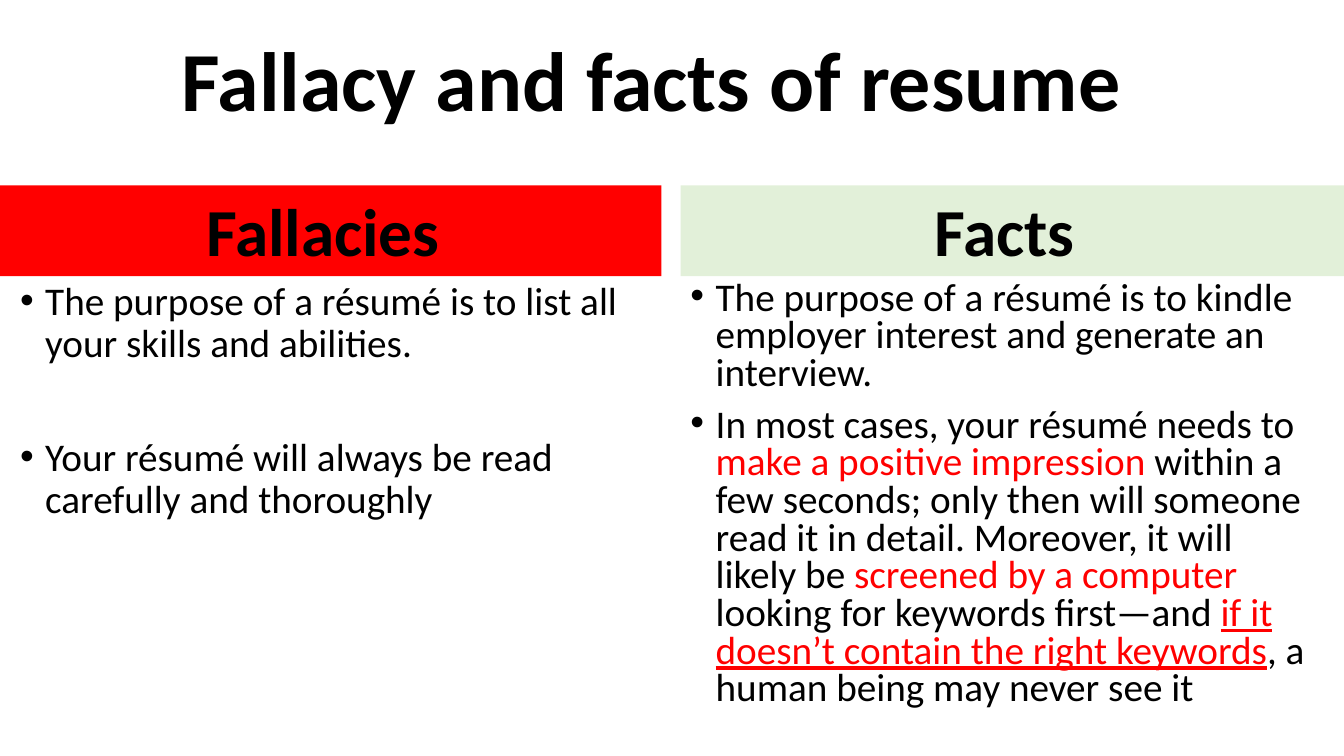
from lxml import etree
from pptx import Presentation
from pptx.dml.color import RGBColor
from pptx.enum import shapes, text
from pptx.oxml.ns import qn
from pptx.util import Inches, Pt

COLOURS = {"black": "000000", "red": "FF0000", "pale green": "E2F0D9"}
FONT = "Calibri"
HEADING_HEIGHT = 0.9
BODY_HEIGHT = 4.65
BULLET_INDENT = 0.25

FALLACIES = [
    [("The purpose of a résumé is to list all your skills and abilities.", "plain")],
    [("Your résumé will always be read carefully and thoroughly", "plain")],
]
FACTS = [
    [("The purpose of a résumé is to kindle employer interest and generate an interview.",
      "plain")],
    [("In most cases, your résumé needs to ", "plain"),
     ("make a positive impression ", "key"),
     ("within a few seconds; only then will someone read it in detail. "
      "Moreover, it will likely be ", "plain"),
     ("screened by a computer ", "key"),
     ("looking for keywords first—and ", "plain"),
     ("if it doesn’t contain the right keywords", "underlined"),
     (", a human being may never see it", "plain")],
]
BODY_STYLES = {
    "plain": ("black", {"size": Pt(28)}),
    "key": ("red", {"size": Pt(28)}),
    "underlined": ("red", {"size": Pt(28), "underline": True}),
}


def colour(name):
    return RGBColor.from_string(COLOURS[name])


def set_all(target, values):
    for name, value in values.items():
        setattr(target, name, value)


def add_run(paragraph, wording, colour_name, values):
    run = paragraph.add_run()
    run.text = wording
    set_all(run.font, {"name": FONT, **values})
    run.font.color.rgb = colour(colour_name)


def add_bullet(paragraph):
    properties = paragraph._p.get_or_add_pPr()
    properties.set("marL", str(Inches(BULLET_INDENT)))
    properties.set("indent", str(-Inches(BULLET_INDENT)))
    etree.SubElement(properties, qn("a:buFont")).set("typeface", "Arial")
    etree.SubElement(properties, qn("a:buChar")).set("char", "•")


def add_heading(shape, wording, size, anchor):
    """Put one centred bold line in a shape."""
    set_all(shape.text_frame, {"word_wrap": True, "vertical_anchor": anchor})
    paragraph = shape.text_frame.paragraphs[0]
    set_all(paragraph, {"alignment": text.PP_ALIGN.CENTER, "line_spacing": 0.9})
    add_run(paragraph, wording, "black", {"size": Pt(size), "bold": True})


def add_title(slide, left, top, width, height):
    box = slide.shapes.add_textbox(*map(Inches, (left, top, width, height)))
    add_heading(box, "Fallacy and facts of resume ", 60, text.MSO_ANCHOR.MIDDLE)


def add_column(slide, left, top, width, heading, fill, points,
               body_left, body_width, line_spacing, gap):
    """Add a coloured heading band with a bulleted list beneath it."""
    # Heading band
    band = slide.shapes.add_shape(
        shapes.MSO_SHAPE.RECTANGLE,
        *map(Inches, (left, top, width, HEADING_HEIGHT)))
    band.shadow.inherit = False
    band.fill.solid()
    band.fill.fore_color.rgb = colour(fill)
    band.line.fill.background()
    add_heading(band, heading, 48, text.MSO_ANCHOR.BOTTOM)

    # Bulleted list
    body = slide.shapes.add_textbox(
        *map(Inches, (left + body_left, top + HEADING_HEIGHT, body_width, BODY_HEIGHT)))
    frame = body.text_frame
    frame.word_wrap = True
    for index, point in enumerate(points):
        paragraph = frame.add_paragraph() if index else frame.paragraphs[0]
        paragraph.line_spacing = line_spacing
        if index:
            paragraph.space_before = Pt(gap)
        add_bullet(paragraph)
        for wording, style in point:
            add_run(paragraph, wording, *BODY_STYLES[style])


def main():
    presentation = Presentation()
    set_all(presentation, {"slide_width": Inches(13.33), "slide_height": Inches(7.5)})
    slide = presentation.slides.add_slide(presentation.slide_layouts[6])

    add_title(slide, -0.05, 0.11, 13.21, 1.45)
    add_column(slide, 0, 1.84, 6.56, "Fallacies ", "red", FALLACIES,
               body_left=0.1, body_width=6.45, line_spacing=0.9, gap=51)
    add_column(slide, 6.75, 1.84, 6.58, "Facts ", "pale green", FACTS,
               body_left=0, body_width=6.46, line_spacing=0.8, gap=10)
    presentation.save("out.pptx")


if __name__ == "__main__":
    main()
